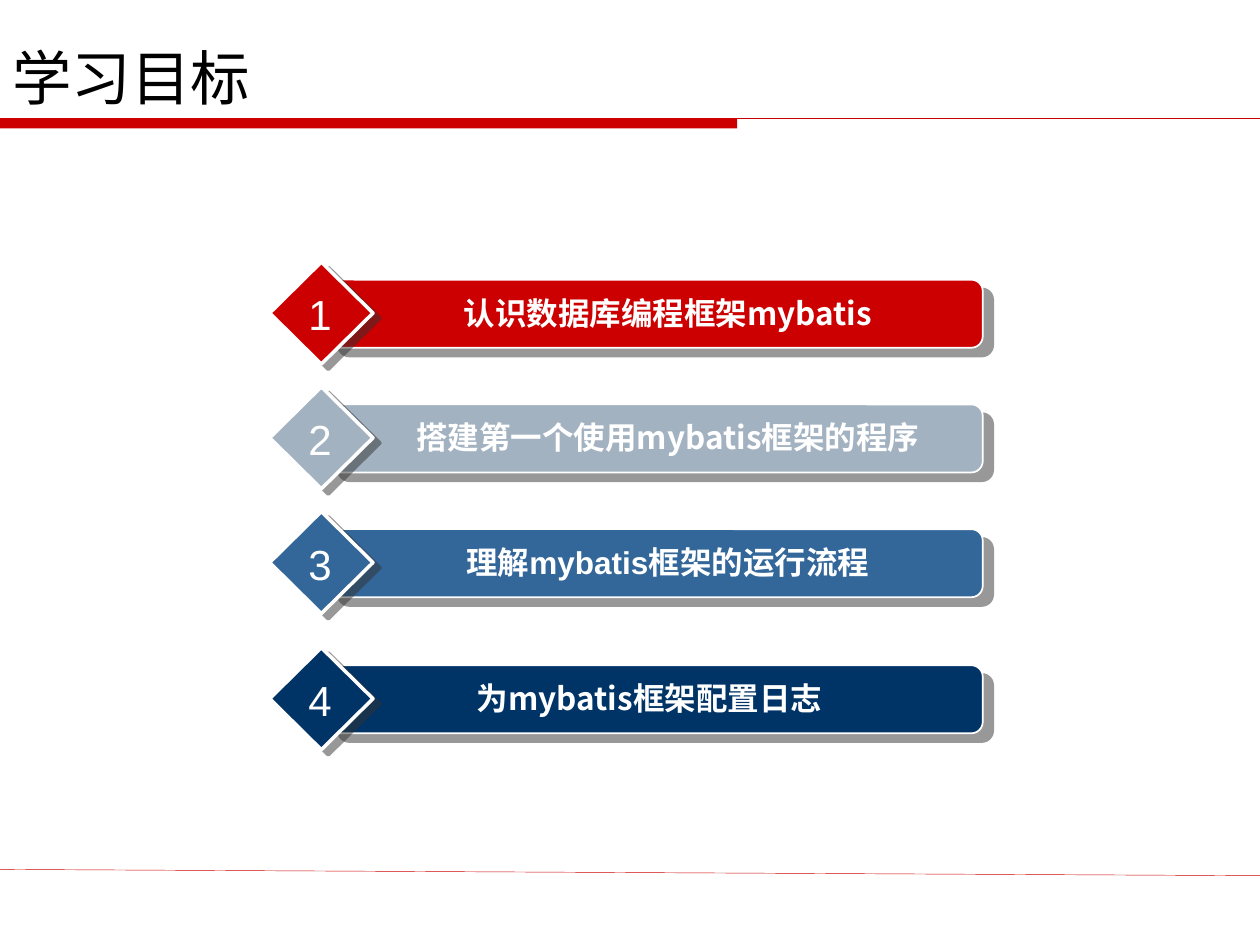
"""Build the learning objectives slide with four numbered banners."""
import lxml.etree
import pptx
import pptx.dml.color
import pptx.enum.shapes
import pptx.enum.text
import pptx.oxml.ns
import pptx.util

Inches = pptx.util.Inches
Pt = pptx.util.Pt
RGBColor = pptx.dml.color.RGBColor
SHAPE = pptx.enum.shapes.MSO_SHAPE
ANCHOR = pptx.enum.text.MSO_ANCHOR
ALIGN = pptx.enum.text.PP_ALIGN
qn = pptx.oxml.ns.qn

RED = RGBColor(0xCC, 0x00, 0x00)
GREY = RGBColor(0xA3, 0xB2, 0xC1)
BLUE = RGBColor(0x33, 0x66, 0x99)
NAVY = RGBColor(0x00, 0x33, 0x66)
WHITE = RGBColor(0xFF, 0xFF, 0xFF)
BLACK = RGBColor(0x00, 0x00, 0x00)
CJK = "Noto Sans CJK SC"

TITLE_FONT = {"size": Pt(34), "name": "DejaVu Sans"}
NUMBER_FONT = {"size": Pt(24), "name": "Arial"}
OBJECTIVE_FONT = {"size": Pt(18), "bold": True}
TITLE_FRAME = {"word_wrap": True, "vertical_anchor": ANCHOR.BOTTOM}
INSETS = {
    "margin_left": Inches(0.07), "margin_right": Inches(0.07),
    "margin_top": Inches(0.04), "margin_bottom": Inches(0.04),
}

OBJECTIVES = [
    (2.08, RED, "认识数据库编程框架mybatis", CJK, 4.86),
    (3.07, GREY, "搭建第一个使用mybatis框架的程序", CJK, 4.86),
    (4.06, BLUE, "理解mybatis框架的运行流程", "Arial", 4.86),
    (5.14, NAVY, "为mybatis框架配置日志", CJK, 4.57),
]


def apply_format(target, values):
    """Set each named attribute on the target."""
    for name, value in values.items():
        setattr(target, name, value)


def add_text(shapes, box, text, color, font, frame, align=ALIGN.LEFT):
    """Add one line of text in a box given in inches."""
    text_frame = shapes.add_textbox(*map(Inches, box)).text_frame
    apply_format(text_frame, frame)
    paragraph = text_frame.paragraphs[0]
    paragraph.alignment = align
    run = paragraph.add_run()
    run.text = text
    apply_format(run.font, font)
    run.font.color.rgb = color
    east_asian = lxml.etree.SubElement(run.font._element, qn("a:ea"))
    east_asian.set("typeface", CJK)


def add_rule(shapes, start, end, width):
    """Add a plain red line between two points in inches."""
    rule = shapes.add_connector(
        pptx.enum.shapes.MSO_CONNECTOR.STRAIGHT, *map(Inches, start + end))
    rule.line.color.rgb = RED
    rule.line.width = Pt(width)
    lxml.etree.SubElement(rule._element.spPr, qn("a:effectLst"))


def add_shadow(shape, distance, angle):
    """Cast a sharp half-transparent shadow."""
    effects = shape._element.spPr.find(qn("a:effectLst"))
    shadow = lxml.etree.SubElement(
        effects, qn("a:outerShdw"), blurRad="0", dist=str(Pt(distance)),
        dir=str(angle * 60000), algn="ctr", rotWithShape="0")
    tint = lxml.etree.SubElement(shadow, qn("a:srgbClr"), val="333333")
    lxml.etree.SubElement(tint, qn("a:alpha"), val="50000")


def add_panel(shapes, kind, box, fill, outline=None):
    """Add a filled shape, with a white outline if a width is given."""
    panel = shapes.add_shape(kind, *map(Inches, box))
    panel.fill.solid()
    panel.fill.fore_color.rgb = fill
    if outline:
        panel.line.color.rgb = WHITE
        panel.line.width = Pt(outline)
    else:
        panel.line.fill.background()
    panel.shadow.inherit = False
    return panel


def add_objective(slide, number, top, color, text, font_name, text_width):
    """Add a banner with its numbered diamond as one group."""
    shapes = slide.shapes.add_group_shape().shapes
    banner = add_panel(shapes, SHAPE.ROUNDED_RECTANGLE,
                       (2.6, top + 0.14, 5.2, 0.54), color, 1)
    add_shadow(banner, 7.8, 40)
    diamond = add_panel(shapes, SHAPE.DIAMOND, (2.14, top, 0.82, 0.81), color, 2)
    add_shadow(diamond, 5, 37)
    add_text(shapes, (2.87, top + 0.21, text_width, 0.38), text, WHITE,
             {**OBJECTIVE_FONT, "name": font_name},
             {**INSETS, "word_wrap": True}, ALIGN.CENTER)
    add_text(shapes, (2.37, top + 0.17, 0.34, 0.48), str(number), WHITE,
             NUMBER_FONT, {**INSETS, "word_wrap": False}, ALIGN.CENTER)


def main():
    """Build and save the slide."""
    deck = pptx.Presentation()
    deck.slide_width, deck.slide_height = Inches(10), Inches(7.5)
    slide = deck.slides.add_slide(deck.slide_layouts[6])
    add_panel(slide.shapes, SHAPE.RECTANGLE, (0, 0.94, 5.85, 0.08), RED)
    add_rule(slide.shapes, (0, 0.94), (10, 0.94), 0.75)
    add_rule(slide.shapes, (0, 6.9), (10, 6.95), 0.25)
    add_text(slide.shapes, (0, 0, 10, 0.94), "学习目标", BLACK, TITLE_FONT, TITLE_FRAME)
    for number, objective in enumerate(OBJECTIVES, 1):
        add_objective(slide, number, *objective)
    deck.save("out.pptx")


if __name__ == "__main__":
    main()
